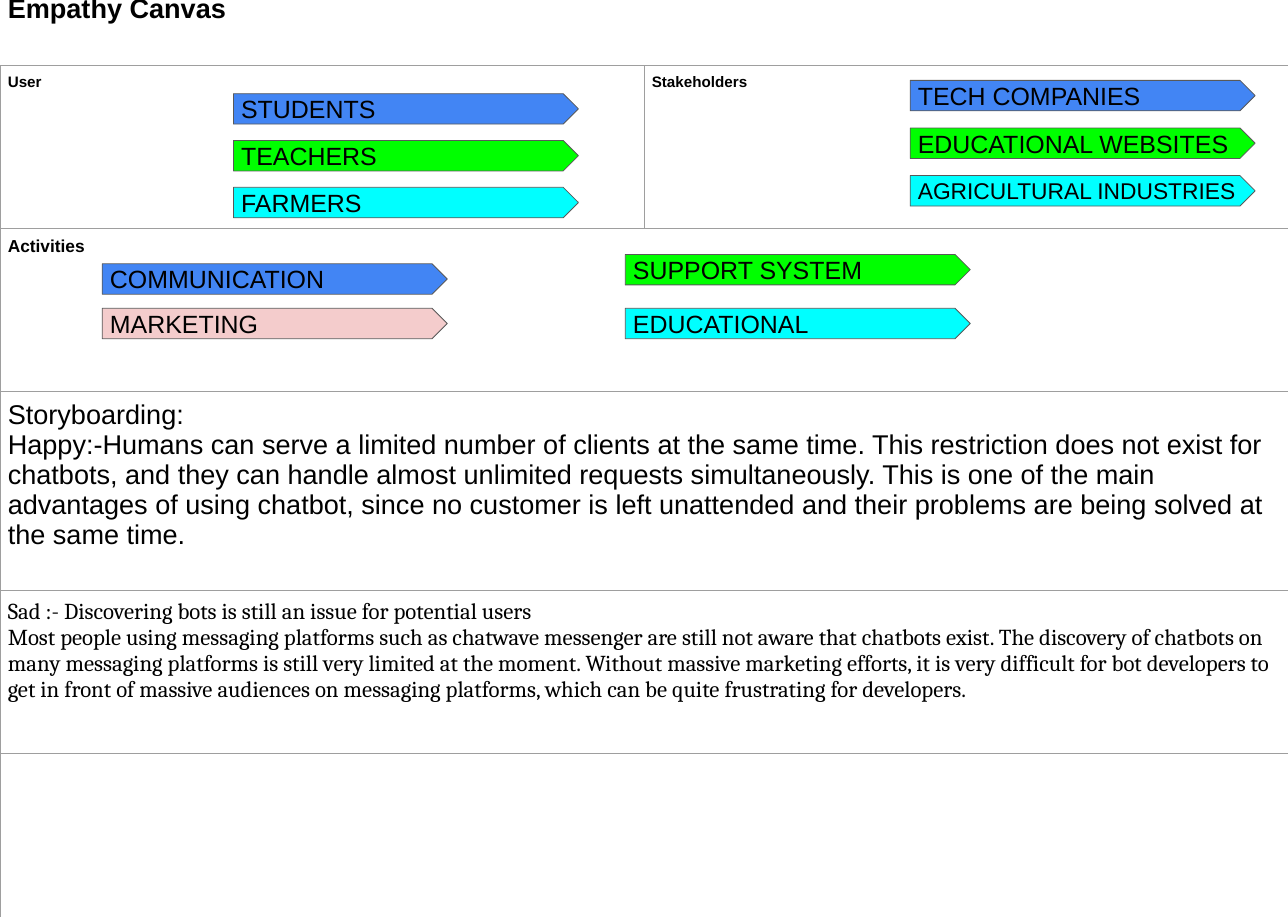
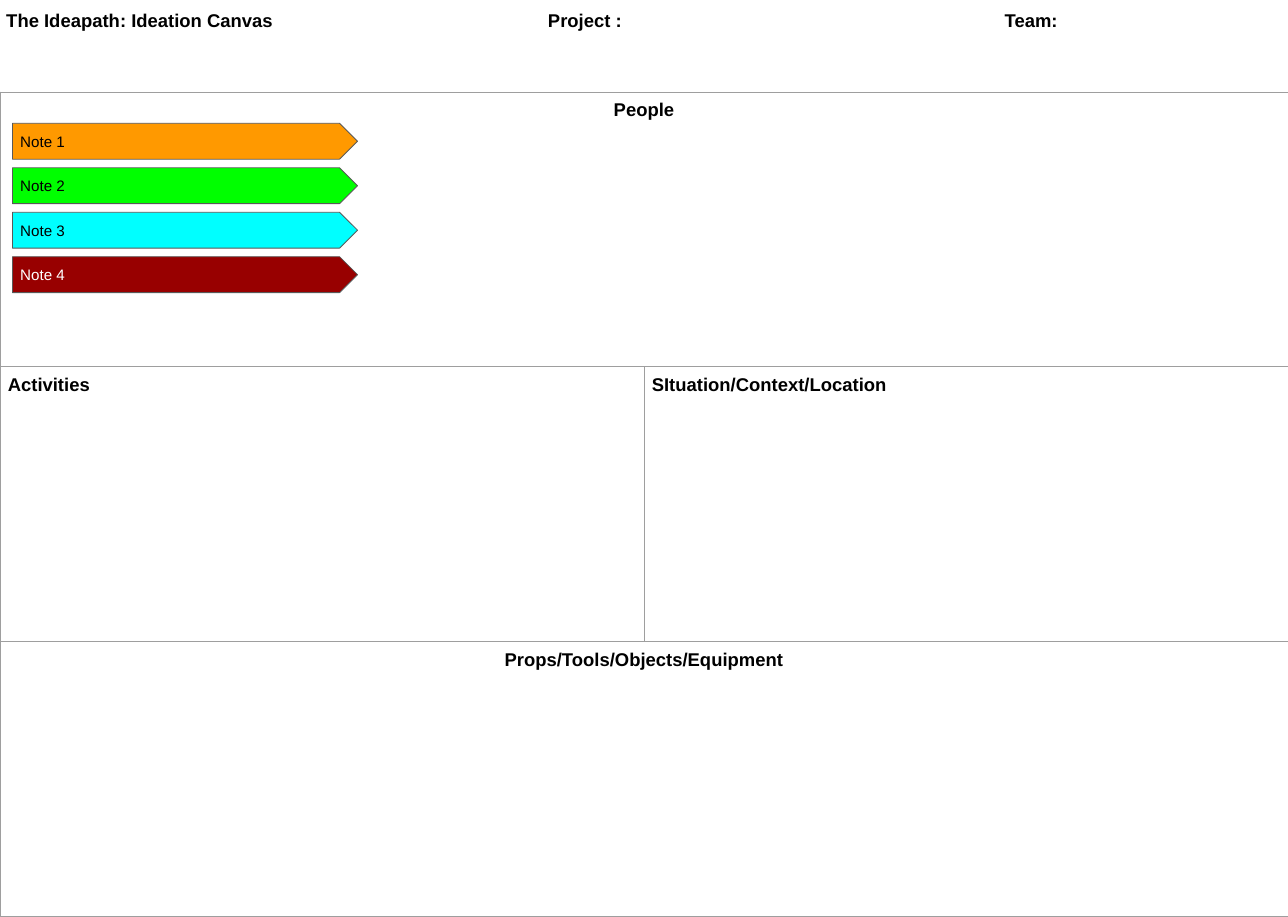
"""Build an empathy canvas and an ideation canvas as two large slides."""
from lxml.etree import SubElement, fromstring
from pptx import Presentation
from pptx.dml.color import RGBColor
from pptx.enum.shapes import MSO_SHAPE
from pptx.enum.text import MSO_ANCHOR, MSO_AUTO_SIZE, PP_ALIGN
from pptx.oxml.ns import nsdecls, qn
from pptx.util import Inches, Pt

BLACK = RGBColor(0x00, 0x00, 0x00)
WHITE = RGBColor(0xFF, 0xFF, 0xFF)
OUTLINE = RGBColor(0x59, 0x59, 0x59)
GRID = RGBColor(0x9E, 0x9E, 0x9E)
BLUE = RGBColor(0x42, 0x85, 0xF4)
GREEN = RGBColor(0x00, 0xFF, 0x00)
CYAN = RGBColor(0x00, 0xFF, 0xFF)
PINK = RGBColor(0xF4, 0xCC, 0xCC)
ORANGE = RGBColor(0xFF, 0x99, 0x00)
RED = RGBColor(0x98, 0x00, 0x00)

SLIDE_W, SLIDE_H = 16.5, 11.75
MARGIN = Inches(0.1)
TAG_W = 4.42
LEFT, CENTER = PP_ALIGN.LEFT, PP_ALIGN.CENTER

STORY = [
    "Storyboarding:",
    "Happy:-Humans can serve a limited number of clients at the same time. "
    "This restriction does not exist for chatbots, and they can handle almost "
    "unlimited requests simultaneously. This is one of the main advantages of "
    "using chatbot, since no customer is left unattended and their problems "
    "are being solved at the same time.",
]
SAD = [
    "Sad :- Discovering bots is still an issue for potential users",
    "Most people using messaging platforms such as chatwave messenger are "
    "still not aware that chatbots exist. The discovery of chatbots on many "
    "messaging platforms is still very limited at the moment. Without massive "
    "marketing efforts, it is very difficult for bot developers to get in "
    "front of massive audiences on messaging platforms, which can be quite "
    "frustrating for developers.",
]

# Cells are (lines, size, bold, font, alignment); a row of one cell spans both columns.
CANVASES = [
    {
        "title": "Empathy Canvas", "title_at": (0, -0.21, SLIDE_W, 0.62),
        "title_size": 25, "tabs": [], "table_top": 0.84,
        "rows": [
            (2.09, [(["User"], 14, True, "Arial", LEFT),
                    (["Stakeholders"], 14, True, "Arial", LEFT)]),
            (2.09, [(["Activities"], 16, True, "Arial", LEFT)]),
            (2.55, [(STORY, 25, False, "Arial", LEFT)]),
            (2.09, [(SAD, 21, False, "Cambria", LEFT)]),
            (2.09, [([], 14, False, "Arial", LEFT)]),
        ],
        "tag_h": 0.39,
        "stacks": [
            (2.99, 1.2, 0.6, [("STUDENTS", 23, BLUE, BLACK),
                              ("TEACHERS", 23, GREEN, BLACK),
                              ("FARMERS", 23, CYAN, BLACK)]),
            (11.66, 1.03, 0.61, [("TECH COMPANIES", 23, BLUE, BLACK),
                                 ("EDUCATIONAL WEBSITES", 23, GREEN, BLACK),
                                 ("AGRICULTURAL INDUSTRIES", 21, CYAN, BLACK)]),
            (1.31, 3.38, 0.57, [("COMMUNICATION", 23, BLUE, BLACK),
                                ("MARKETING", 23, PINK, BLACK)]),
            (8.01, 3.26, 0.69, [("SUPPORT SYSTEM", 23, GREEN, BLACK),
                                ("EDUCATIONAL", 23, CYAN, BLACK)]),
        ],
    },
    {
        "title": "The Ideapath: Ideation Canvas\tProject :\tTeam:",
        "title_at": (-0.02, 0.02, SLIDE_W, 1.16),
        "title_size": 17, "tabs": [6.94, 12.79], "table_top": 1.18,
        "rows": [
            (3.52, [(["People"], 17, True, "Arial", CENTER)]),
            (3.52, [(["Activities"], 17, True, "Arial", LEFT),
                    (["SItuation/Context/Location"], 17, True, "Arial", LEFT)]),
            (3.52, [(["Props/Tools/Objects/Equipment"], 17, True, "Arial", CENTER)]),
        ],
        "tag_h": 0.46,
        "stacks": [
            (0.16, 1.58, 0.57, [("Note 1", 14, ORANGE, BLACK),
                                ("Note 2", 14, GREEN, BLACK),
                                ("Note 3", 14, CYAN, BLACK),
                                ("Note 4", 14, RED, WHITE)]),
        ],
    },
]


def set_margins(box):
    box.margin_left = box.margin_right = MARGIN
    box.margin_top = box.margin_bottom = MARGIN


def style(p, size, bold=False, name="Arial", color=BLACK, align=LEFT):
    p.alignment = align
    p.font.size, p.font.bold, p.font.name = Pt(size), bold, name
    p.font.color.rgb = color


def add_title(s, text, at, size, tabs):
    sp = s.shapes.title
    sp.left, sp.top, sp.width, sp.height = map(Inches, at)
    tf = sp.text_frame
    set_margins(tf)
    tf.word_wrap = True
    tf.auto_size = MSO_AUTO_SIZE.NONE
    tf.vertical_anchor = MSO_ANCHOR.TOP
    p = tf.paragraphs[0]
    p.add_run().text = text
    style(p, size, bold=True)
    if tabs:
        stops = fromstring(f"<a:tabLst {nsdecls('a')}/>")
        for x in tabs:
            SubElement(stops, qn("a:tab"), pos=str(Inches(x)), algn="l")
        p._p.get_or_add_pPr().insert(0, stops)


def add_borders(cell):
    tc_pr = cell._tc.get_or_add_tcPr()
    for i, side in enumerate("LRTB"):
        tc_pr.insert(i, fromstring(
            f'<a:ln{side} {nsdecls("a")} w="{Pt(0.75)}"><a:solidFill>'
            f'<a:srgbClr val="{GRID}"/></a:solidFill></a:ln{side}>'))


def fill_cell(cell, lines, size, bold, name, align):
    set_margins(cell)
    tf = cell.text_frame
    for i, line in enumerate(lines):
        p = tf.add_paragraph() if i else tf.paragraphs[0]
        p.add_run().text = line
        style(p, size, bold, name, align=align)


def add_canvas(s, top, rows):
    height = sum(h for h, _ in rows)
    table = s.shapes.add_table(len(rows), 2, 0, Inches(top),
                               Inches(SLIDE_W), Inches(height)).table
    table.first_row = table.horz_banding = False
    for i, (h, cells) in enumerate(rows):
        table.rows[i].height = Inches(h)
        if len(cells) == 1:
            table.cell(i, 0).merge(table.cell(i, 1))
        for j, content in enumerate(cells):
            fill_cell(table.cell(i, j), *content)
    for cell in table.iter_cells():
        cell.fill.background()
        add_borders(cell)


def add_tag(s, x, y, h, text, size, fill, color):
    sp = s.shapes.add_shape(MSO_SHAPE.PENTAGON, Inches(x), Inches(y),
                            Inches(TAG_W), Inches(h))
    sp.shadow.inherit = False
    sp.fill.solid()
    sp.fill.fore_color.rgb = fill
    sp.line.color.rgb = OUTLINE
    sp.line.width = Pt(0.75)
    tf = sp.text_frame
    set_margins(tf)
    tf.word_wrap = True
    tf.vertical_anchor = MSO_ANCHOR.MIDDLE
    p = tf.paragraphs[0]
    p.add_run().text = text
    style(p, size, color=color)


def main():
    prs = Presentation()
    prs.slide_width, prs.slide_height = Inches(SLIDE_W), Inches(SLIDE_H)
    for canvas in CANVASES:
        s = prs.slides.add_slide(prs.slide_layouts[5])
        add_title(s, canvas["title"], canvas["title_at"],
                  canvas["title_size"], canvas["tabs"])
        add_canvas(s, canvas["table_top"], canvas["rows"])
        for x, top, step, tags in canvas["stacks"]:
            for i, tag in enumerate(tags):
                add_tag(s, x, top + i * step, canvas["tag_h"], *tag)
    prs.save("out.pptx")


if __name__ == "__main__":
    main()
